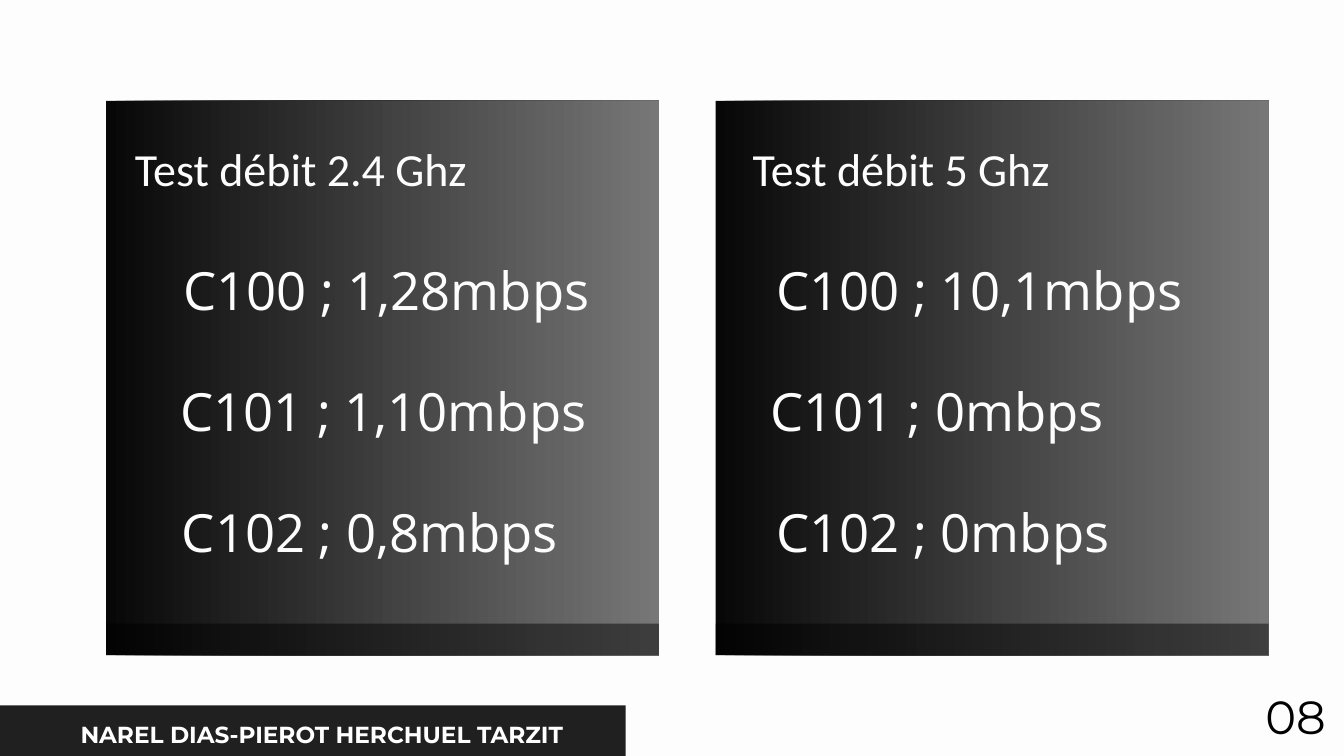
from dataclasses import dataclass

import lxml.etree
import pptx
import pptx.dml.color
import pptx.enum.shapes
import pptx.enum.text
import pptx.oxml.ns
import pptx.util

Cm = pptx.util.Cm
ALIGN = pptx.enum.text.PP_ALIGN


@dataclass(frozen=True)
class Theme:
    paper: str = "FDFDFD"
    white: str = "FFFFFF"
    black: str = "000000"
    grey: str = "737373"
    footer: str = "202020"
    heading_font: str = "Calibri"
    body_font: str = "Open Sans"
    footer_font: str = "Montserrat"
    heading_size: float = 49.3
    body_size: float = 56.4
    footer_size: float = 24.9
    number_size: float = 49.8


THEME = Theme()


@dataclass(frozen=True)
class Box:
    x: float
    y: float
    w: float
    h: float

    def inner(self, dx, dy, w, h):
        return Box(self.x + dx, self.y + dy, w, h)

    def emu(self):
        return Cm(self.x), Cm(self.y), Cm(self.w), Cm(self.h)


def rgb(value):
    return pptx.dml.color.RGBColor.from_string(value)


def set_alpha(sp, percent):
    for color in sp._element.spPr.iter(pptx.oxml.ns.qn("a:srgbClr")):
        alpha = lxml.etree.SubElement(color, pptx.oxml.ns.qn("a:alpha"))
        alpha.set("val", str(percent * 1000))


def add_block(s, box, colors, opacity=100):
    sp = s.shapes.add_shape(pptx.enum.shapes.MSO_SHAPE.RECTANGLE, *box.emu())
    sp.shadow.inherit = False
    sp.line.fill.background()
    if len(colors) == 1:
        sp.fill.solid()
        sp.fill.fore_color.rgb = rgb(colors[0])
    else:
        sp.fill.gradient()
        sp.fill.gradient_angle = 0
        for stop, color in zip(sp.fill.gradient_stops, colors):
            stop.color.rgb = rgb(color)
    if opacity < 100:
        set_alpha(sp, opacity)


def add_text(s, box, text, font, size, color, align=ALIGN.LEFT, bold=False):
    tf = s.shapes.add_textbox(*box.emu()).text_frame
    tf.word_wrap = True
    tf.margin_left = tf.margin_right = tf.margin_top = tf.margin_bottom = 0
    tf.text = text
    p = tf.paragraphs[0]
    p.alignment = align
    p.line_spacing = 1.4
    r = p.runs[0]
    r.font.name = font
    r.font.size = pptx.util.Pt(size)
    r.font.bold = bold
    r.font.color.rgb = rgb(color)


def add_panel(s, box, title, title_dx, rows, align):
    add_block(s, box, (THEME.black, THEME.grey), 96)
    add_text(s, box.inner(title_dx, 0.66, 18.5, 2.92), title,
             THEME.heading_font, THEME.heading_size, THEME.paper)
    for i, (text, dx, width) in enumerate(rows):
        add_text(s, box.inner(dx, 5 + 4.56 * i, width, 3.35), text,
                 THEME.body_font, THEME.body_size, THEME.paper, align)
    band_h = 1.19
    add_block(s, box.inner(0, box.h - band_h, box.w, band_h), (THEME.black,), 48)


def add_footer(s, box, names):
    add_block(s, box, (THEME.footer,))
    add_text(s, box.inner(2.13, 0.13, 20.47, 1.47), names, THEME.footer_font,
             THEME.footer_size, THEME.white, ALIGN.CENTER, True)


def add_page_number(s, box, number):
    add_text(s, box, number, THEME.footer_font, THEME.number_size,
             THEME.black, ALIGN.RIGHT)


def main():
    prs = pptx.Presentation()
    prs.slide_width, prs.slide_height = Cm(50.8), Cm(28.58)
    s = prs.slides.add_slide(prs.slide_layouts[6])
    s.background.fill.solid()
    s.background.fill.fore_color.rgb = rgb(THEME.paper)

    add_footer(s, Box(-0.2, 26.67, 23.85, 1.91),
               "NAREL DIAS-PIEROT HERCHUEL TARZIT")
    add_panel(s, Box(4.01, 3.81, 20.9, 20.96), "Test débit 2.4 Ghz", 1.09,
              [("C100 ; 1,28mbps", 1.24, 18.72),
               ("C101 ; 1,10mbps", 1.24, 18.49),
               ("C102 ; 0,8mbps", 1.24, 17.48)], ALIGN.CENTER)
    add_panel(s, Box(27.05, 3.81, 20.9, 20.96), "Test débit 5 Ghz", 1.4,
              [("C100 ; 10,1mbps", 2.29, 19.13),
               ("C101 ; 0mbps", 2.08, 16.94),
               ("C102 ; 0mbps", 2.29, 15.93)], ALIGN.LEFT)
    add_page_number(s, Box(47.65, 25.15, 2.46, 2.95), "08")
    prs.save("out.pptx")


if __name__ == "__main__":
    main()
